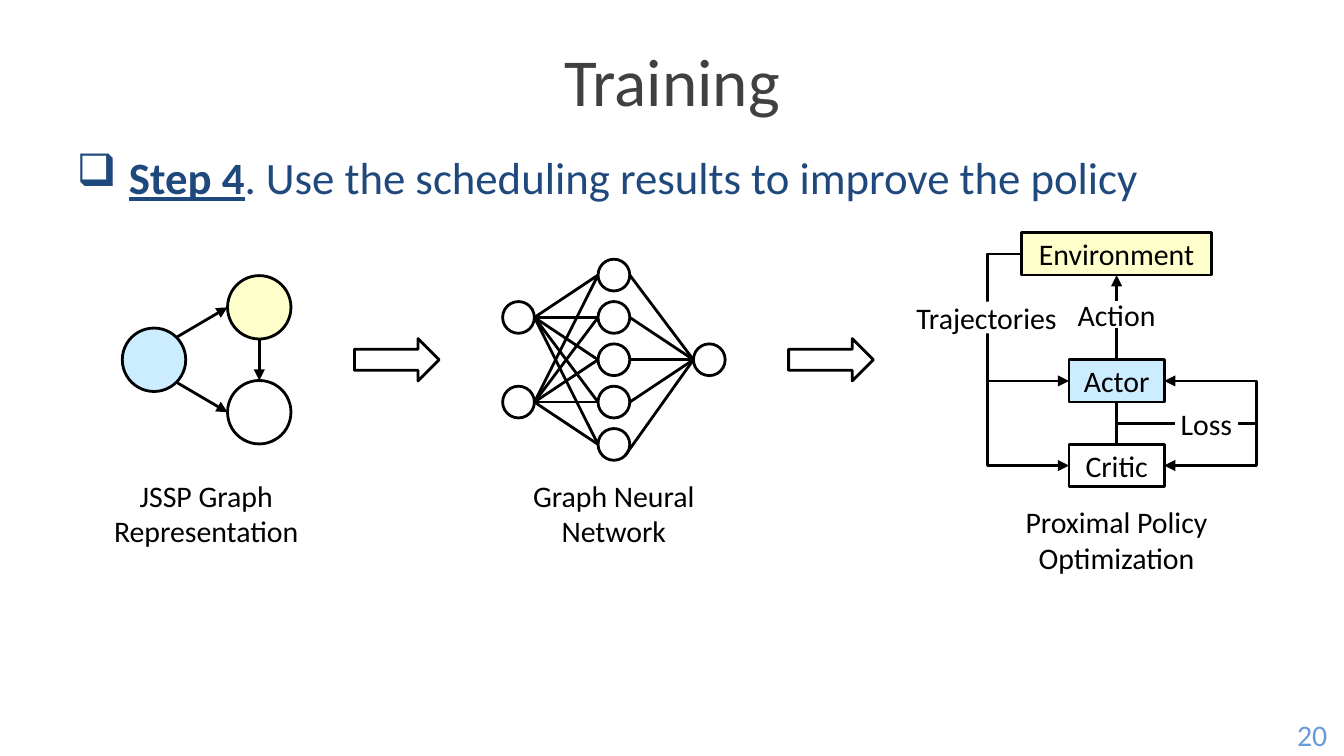
"""Build the training slide: job graph, neural network and policy optimization."""

from dataclasses import dataclass
from itertools import product

from lxml.etree import SubElement
from pptx import Presentation
from pptx.dml.color import RGBColor
from pptx.enum.shapes import MSO_CONNECTOR, MSO_SHAPE
from pptx.enum.text import MSO_ANCHOR, PP_ALIGN
from pptx.oxml.ns import qn
from pptx.shapes.autoshape import Shape
from pptx.shapes.connector import Connector
from pptx.shapes.shapetree import GroupShapes, SlideShapes
from pptx.text.text import TextFrame, _Paragraph
from pptx.util import Pt

COLORS = {
    "title": "404040",
    "step": "1F497D",
    "number": "679CD6",
    "ink": "000000",
    "white": "FFFFFF",
    "yellow": "FFFFCC",
    "blue": "CCECFF",
}
FONT = "Calibri"
MIDDLE = 192.75
ROW = 22.68
TOP, LEFT, BOTTOM, RIGHT = range(4)
Canvas = SlideShapes | GroupShapes
Point = tuple[float, float]


@dataclass(frozen=True)
class Block:
    """A shape given by its centre, size, fill, text and outline."""

    x: float
    y: float
    width: float
    height: float
    fill: str | None = None
    text: str = ""
    outlined: bool = True


def color(name: str) -> RGBColor:
    """Return a named colour."""
    return RGBColor.from_string(COLORS[name])


def add_span(para: _Paragraph, text: str, size: float, ink: str, strong: bool = False) -> None:
    """Append a formatted run; strong means bold and underlined."""
    span = para.add_run()
    span.text = text
    span.font.name = FONT
    span.font.size = Pt(size)
    span.font.bold = strong
    span.font.underline = strong
    span.font.color.rgb = color(ink)


def write(frame: TextFrame, lines: list[str], size: float = 16, ink: str = "ink") -> None:
    """Write centred lines in the middle of a frame."""
    frame.vertical_anchor = MSO_ANCHOR.MIDDLE
    for index, line in enumerate(lines):
        para = frame.add_paragraph() if index else frame.paragraphs[0]
        para.alignment = PP_ALIGN.CENTER
        add_span(para, line, size, ink)


def clear_margins(frame: TextFrame) -> None:
    """Remove the inner margins of a frame."""
    frame.margin_left = frame.margin_right = frame.margin_top = frame.margin_bottom = 0


def add_block(canvas: Canvas, kind: MSO_SHAPE, block: Block) -> Shape:
    """Draw a block around its centre."""
    shape = canvas.add_shape(
        kind,
        Pt(block.x - block.width / 2),
        Pt(block.y - block.height / 2),
        Pt(block.width),
        Pt(block.height),
    )
    shape.shadow.inherit = False
    if block.fill:
        shape.fill.solid()
        shape.fill.fore_color.rgb = color(block.fill)
    else:
        shape.fill.background()
    if block.outlined:
        shape.line.color.rgb = color("ink")
        shape.line.width = Pt(1.5)
    else:
        shape.line.fill.background()
    if block.text:
        clear_margins(shape.text_frame)
        shape.text_frame.word_wrap = block.outlined
        write(shape.text_frame, [block.text])
    return shape


def add_line(
    canvas: Canvas, start: Point, end: Point, arrow: bool = False, via: float | None = None
) -> Connector:
    """Draw a straight line, or an elbow whose middle leg lies at x = via."""
    kind = MSO_CONNECTOR.STRAIGHT if via is None else MSO_CONNECTOR.ELBOW
    line = canvas.add_connector(kind, *(Pt(value) for value in (*start, *end)))
    line.line.color.rgb = color("ink")
    line.line.width = Pt(1.5)
    properties = line._element.spPr
    if arrow:
        SubElement(line.line._get_or_add_ln(), qn("a:tailEnd"), type="triangle")
    SubElement(properties, qn("a:effectLst"))
    if via is not None:
        share = round((via - start[0]) / (end[0] - start[0]) * 100000)
        guides = properties.find(qn("a:prstGeom")).get_or_add_avLst()
        SubElement(guides, qn("a:gd"), name="adj1", fmla=f"val {share}")
    return line


def add_caption(canvas: Canvas, x: float, y: float, width: float, lines: list[str]) -> None:
    """Add a caption centred on x and y."""
    box = canvas.add_textbox(Pt(x - width / 2), Pt(y - ROW), Pt(width), Pt(2 * ROW))
    clear_margins(box.text_frame)
    box.text_frame.word_wrap = False
    write(box.text_frame, lines)


def draw_job_graph(canvas: GroupShapes) -> None:
    """Draw three job nodes and their arrows."""
    size, radius, diagonal = 34, 17, 12
    root_x, leaf_x, offset = 82.5, 138.9, 28.1
    upper, lower = MIDDLE - offset, MIDDLE + offset
    for x, y, fill in ((leaf_x, lower, "white"), (leaf_x, upper, "yellow"), (root_x, MIDDLE, "blue")):
        add_block(canvas, MSO_SHAPE.OVAL, Block(x, y, size, size, fill))
    for sign, y in ((-1, upper), (1, lower)):
        start = (root_x + diagonal, MIDDLE + sign * diagonal)
        add_line(canvas, start, (leaf_x - radius, y), arrow=True)
    add_line(canvas, (leaf_x, upper + radius), (leaf_x, lower - radius), arrow=True)


def draw_network(canvas: GroupShapes, center: float) -> None:
    """Draw a fully connected network of two, five and one nodes."""
    size, radius, pitch, diagonal = 17, 8.5, 51.1, 6
    layers = [
        [(center + column * pitch, MIDDLE + row * ROW) for row in rows]
        for column, rows in ((-1, (-1, 1)), (0, range(-2, 3)), (1, (0,)))
    ]
    for layer in layers:
        for x, y in layer:
            add_block(canvas, MSO_SHAPE.OVAL, Block(x, y, size, size, "white"))
    inputs, hidden, outputs = layers
    for (x, y), (next_x, next_y) in [*product(inputs, hidden), *product(hidden[:-1], outputs)]:
        add_line(canvas, (x + radius, y), (next_x - radius, next_y))
    (last_x, last_y), (out_x, out_y) = hidden[-1], outputs[0]
    add_line(canvas, (last_x + diagonal, last_y + diagonal), (out_x - radius, out_y))


def draw_policy_loop(canvas: GroupShapes, center: float) -> None:
    """Draw the actor, critic and environment with their feedback lines."""
    width, actor_y, critic_y, environment_y = 51, 204.1, 249.4, 136.1
    loss_y = (actor_y + critic_y) / 2
    box = MSO_SHAPE.RECTANGLE
    actor = add_block(canvas, box, Block(center, actor_y, width, ROW, "blue", "Actor"))
    critic = add_block(canvas, box, Block(center, critic_y, width, ROW, "white", "Critic"))
    environment = add_block(
        canvas, box, Block(center, environment_y, 2 * width, ROW, "yellow", "Environment")
    )
    targets = ((actor, actor_y), (critic, critic_y))
    for target, y in targets:
        start, end = (center - width, environment_y), (center - width / 2, y)
        path_line = add_line(canvas, start, end, arrow=True, via=529.2)
        path_line.begin_connect(environment, LEFT)
        path_line.end_connect(target, LEFT)
    add_block(canvas, box, Block(528.5, 170.1, 82, 17, "white", "Trajectories", False))
    action = add_line(
        canvas, (center, actor_y - ROW / 2), (center, environment_y + ROW / 2), arrow=True
    )
    action.begin_connect(actor, TOP)
    action.end_connect(environment, TOP + BOTTOM)
    add_block(canvas, box, Block(center, 168.5, 45.4, 14.4, "white", "Action", False))
    for target, y in targets:
        feedback = add_line(canvas, (657.4, loss_y), (center + width / 2, y), arrow=True, via=673.2)
        feedback.end_connect(target, RIGHT)
    add_block(canvas, box, Block(646.3, loss_y, 34, ROW, "white", "Loss", False))
    link = add_line(canvas, (center, critic_y - ROW / 2), (center, actor_y + ROW / 2))
    link.begin_connect(critic, TOP)
    link.end_connect(actor, BOTTOM)
    add_line(canvas, (629.3, loss_y), (center, loss_y))


def main() -> None:
    """Compose the slide and save the deck."""
    deck = Presentation()
    deck.slide_width, deck.slide_height = Pt(720), Pt(405)
    page = deck.slides.add_slide(deck.slide_layouts.get_by_name("Title Only"))
    shapes = page.shapes

    title = shapes.title
    title.left, title.top, title.width, title.height = Pt(34), Pt(17), Pt(652), Pt(51)
    write(title.text_frame, ["Training"], 36, "title")

    body = shapes.add_textbox(Pt(34), Pt(76.5), Pt(652), Pt(306))
    body.text_frame.word_wrap = True
    para = body.text_frame.paragraphs[0]
    properties = para._p.get_or_add_pPr()
    properties.set("marL", str(Pt(28)))
    properties.set("indent", str(-Pt(28)))
    SubElement(properties, qn("a:buChar"), char="❑")
    add_span(para, "Step 4", 24, "step", strong=True)
    add_span(para, ". Use the scheduling results to improve the policy", 24, "step")

    number = shapes.add_textbox(Pt(686), Pt(382.5), Pt(34), Pt(22.5))
    number.text_frame.word_wrap = True
    write(number.text_frame, ["20"], 16, "number")

    network_x, policy_x = 328.9, 598.2
    add_caption(shapes, policy_x, 289, 113, ["Proximal Policy", "Optimization"])
    add_caption(shapes, 110.5, 274.9, 113, ["JSSP Graph", "Representation"])
    add_caption(shapes, network_x, 274.9, 102, ["Graph Neural", "Network"])
    draw_job_graph(shapes.add_group_shape().shapes)
    draw_network(shapes.add_group_shape().shapes, network_x)
    for x in (212.6, 445.2):
        add_block(shapes, MSO_SHAPE.RIGHT_ARROW, Block(x, MIDDLE, 45.4, ROW))
    draw_policy_loop(shapes.add_group_shape().shapes, policy_x)
    deck.save("out.pptx")


if __name__ == "__main__":
    main()
